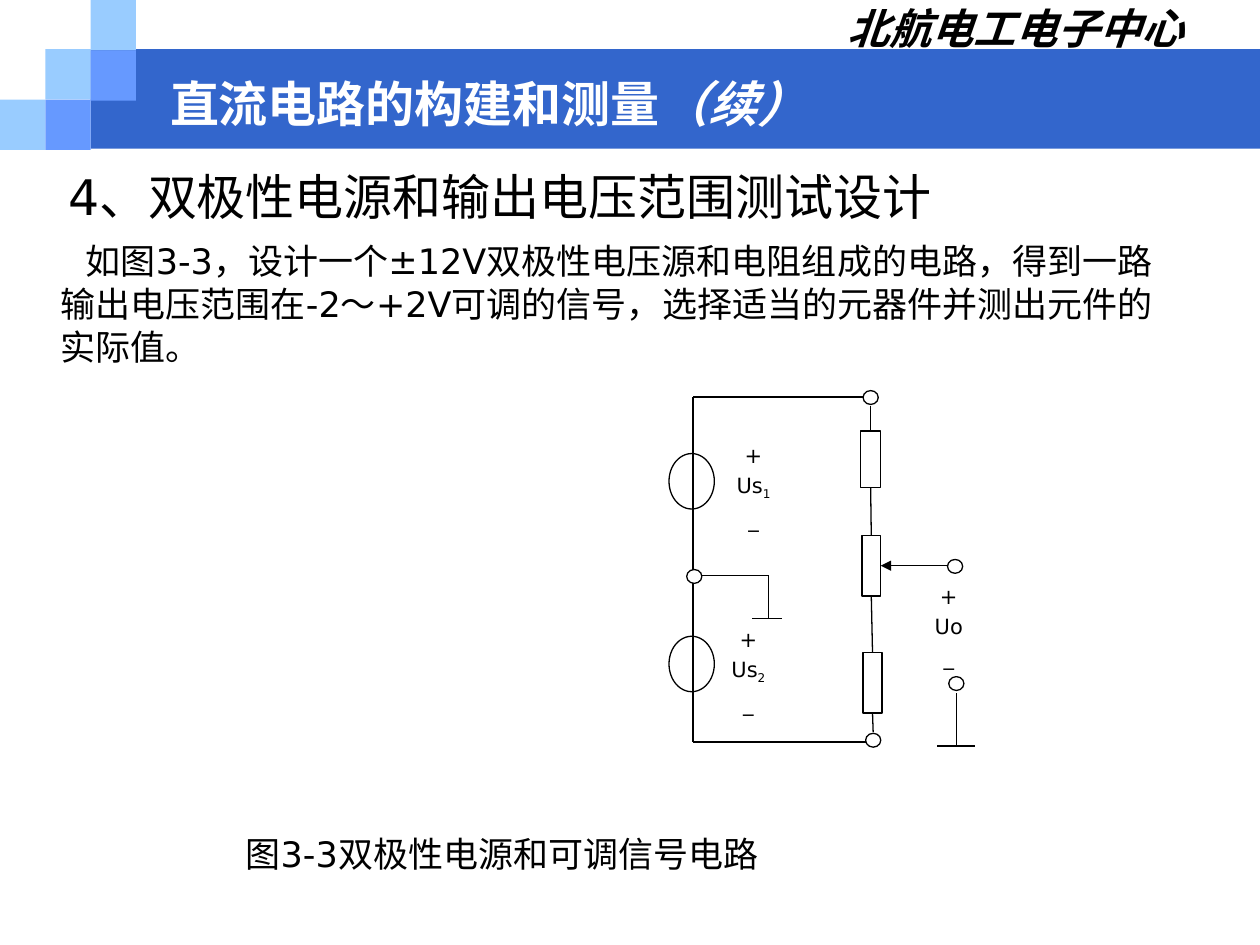
from pptx import Presentation
from pptx.dml.color import RGBColor
from pptx.enum.shapes import MSO_CONNECTOR as Link, MSO_SHAPE as Form
from pptx.enum.text import PP_ALIGN as Align
from pptx.oxml.ns import qn
from pptx.util import Inches, Pt
from lxml.etree import SubElement

COLORS = {"band": "3366CC", "pale": "99CCFF", "mid": "6699FF",
          "ink": "000000", "white": "FFFFFF"}
RGB = {name: RGBColor.from_string(code) for name, code in COLORS.items()}

deck = Presentation()
deck.slide_width, deck.slide_height = Inches(10), Inches(7.5)
slide = deck.slides.add_slide(deck.slide_layouts[6])
shapes = slide.shapes


def text(lines, at, size=20, color="ink", bold=False, align=Align.LEFT,
         pitch=None, gap=0, indent=0, top=0, fill=None):
    box = shapes.add_textbox(*map(Inches, at))
    if fill:
        box.fill.solid()
        box.fill.fore_color.rgb = RGB[fill]
    frame = box.text_frame
    frame.word_wrap = True
    frame.margin_left = frame.margin_right = frame.margin_bottom = 0
    frame.margin_top = Inches(top)
    for i, runs in enumerate(lines):
        para = frame.add_paragraph() if i else frame.paragraphs[0]
        para.alignment = align
        if pitch:
            para.line_spacing = Pt(pitch)
        if i and gap:
            para.space_before = Pt(gap)
        if indent:
            para._p.get_or_add_pPr().set("indent", str(Inches(indent)))
        for words, style in runs:
            run = para.add_run()
            run.text = words
            font = run.font
            font.size, font.bold = Pt(size), bold
            font.italic = "italic" in style
            font.color.rgb = RGB[color]
            font.name = "Arial" if "arial" in style else "DejaVu Sans"
            props = run._r.get_or_add_rPr()
            SubElement(props, qn("a:ea")).set("typeface", "Noto Sans CJK SC")
            if "sub" in style:
                props.set("baseline", "-25000")


def wire(x1, y1, x2, y2, start=None, end=None, arrow=False):
    line = shapes.add_connector(Link.STRAIGHT, *map(Inches, (x1, y1, x2, y2)))
    if start:
        line.begin_connect(*start)
    if end:
        line.end_connect(*end)
    line.line.color.rgb = RGB["ink"]
    line.line.width = Pt(0.75)
    if arrow:
        SubElement(line.line._get_or_add_ln(), qn("a:tailEnd")).set("type", "triangle")
    SubElement(line._element.spPr, qn("a:effectLst"))


bars = [(0.72, 0.39, 9.28, 0.79, "band"), (0, 0.79, 0.36, 0.4, "pale"),
        (0.36, 0.39, 0.36, 0.4, "pale"), (0.72, 0, 0.36, 0.4, "pale"),
        (0.72, 0.4, 0.36, 0.4, "mid"), (0.36, 0.79, 0.36, 0.4, "mid")]
for *at, tone in bars:
    bar = shapes.add_shape(Form.RECTANGLE, *map(Inches, at))
    bar.shadow.inherit = False
    bar.fill.solid()
    bar.fill.fore_color.rgb = RGB[tone]
    bar.line.fill.background()

text([[("北航电工电子中心", "italic")]], (6.1, 0, 3.29, 0.42), size=24,
     bold=True, align=Align.RIGHT, pitch=30)
text([[("直流电路的构建和测量", ""), ("（续）", "italic arial")]],
     (1.35, 0.58, 7.9, 0.48), size=28, color="white", bold=True, pitch=34)
text([[("4、双极性电源和输出电压范围测试设计", "")]],
     (0.54, 1.32, 8.8, 0.48), size=28, pitch=34)
text([[("如图3-3，设计一个±12V双极性电压源和电阻组成的电路，得到一路输出电压范围在"
        "-2～+2V可调的信号，选择适当的元器件并测出元件的实际值。", "")]],
     (0.48, 1.89, 8.85, 1.03), pitch=24.6, indent=0.2)
text([[("图3-3双极性电源和可调信号电路", "")]], (1.95, 6.6, 5, 0.35), pitch=24.6)

parts = {}
for name, form, *at in [
        ("us1", Form.OVAL, 5.31, 3.6, 0.36, 0.44),
        ("us2", Form.OVAL, 5.31, 5.05, 0.36, 0.44),
        ("high", Form.RECTANGLE, 6.83, 3.42, 0.16, 0.45),
        ("pot", Form.RECTANGLE, 6.84, 4.25, 0.15, 0.48),
        ("low", Form.RECTANGLE, 6.85, 5.18, 0.15, 0.48),
        ("top", Form.OVAL, 6.85, 3.1, 0.12, 0.11),
        ("base", Form.OVAL, 6.87, 5.82, 0.12, 0.11),
        ("out", Form.OVAL, 7.52, 4.44, 0.12, 0.11),
        ("ret", Form.OVAL, 7.53, 5.37, 0.12, 0.11),
        ("node", Form.OVAL, 5.45, 4.52, 0.12, 0.11)]:
    part = shapes.add_shape(form, *map(Inches, at))
    part.shadow.inherit = False
    part.fill.solid()
    part.fill.fore_color.rgb = RGB["white"]
    part.line.color.rgb = RGB["ink"]
    part.line.width = Pt(0.75)
    parts[name] = part

high, pot, low = parts["high"], parts["pot"], parts["low"]
for ends in [(5.5, 3.15, 5.5, 5.89), (5.5, 5.89, 6.87, 5.89), (6.85, 3.15, 5.5, 3.15),
             (7.59, 5.5, 7.59, 5.92), (7.44, 5.92, 7.74, 5.92),
             (5.57, 4.57, 6.1, 4.57), (6.1, 4.57, 6.1, 4.91), (5.97, 4.91, 6.21, 4.91)]:
    wire(*ends)
wire(6.91, 3.22, 6.91, 3.42, end=(high, 0))
wire(6.91, 3.87, 6.91, 4.25, start=(high, 2), end=(pot, 0))
wire(6.92, 4.73, 6.92, 5.18, start=(pot, 2), end=(low, 0))
wire(6.93, 5.66, 6.93, 5.81, start=(low, 2))
wire(7.52, 4.49, 6.99, 4.49, end=(pot, 3), arrow=True)

node = parts["node"]._element
node.getparent().append(node)

for x, y, name, sub in [(7.27, 4.58, "Uo", ""), (5.68, 4.92, "Us", "2"),
                        (5.72, 3.46, "Us", "1")]:
    mark = [(name, "")] + ([(sub, "sub")] if sub else [])
    text([[("+", "")], mark, [("_", "")]], (x, y, 0.52, 0.77), size=12,
         align=Align.CENTER, gap=3, top=0.05, fill="white")

deck.save("out.pptx")
